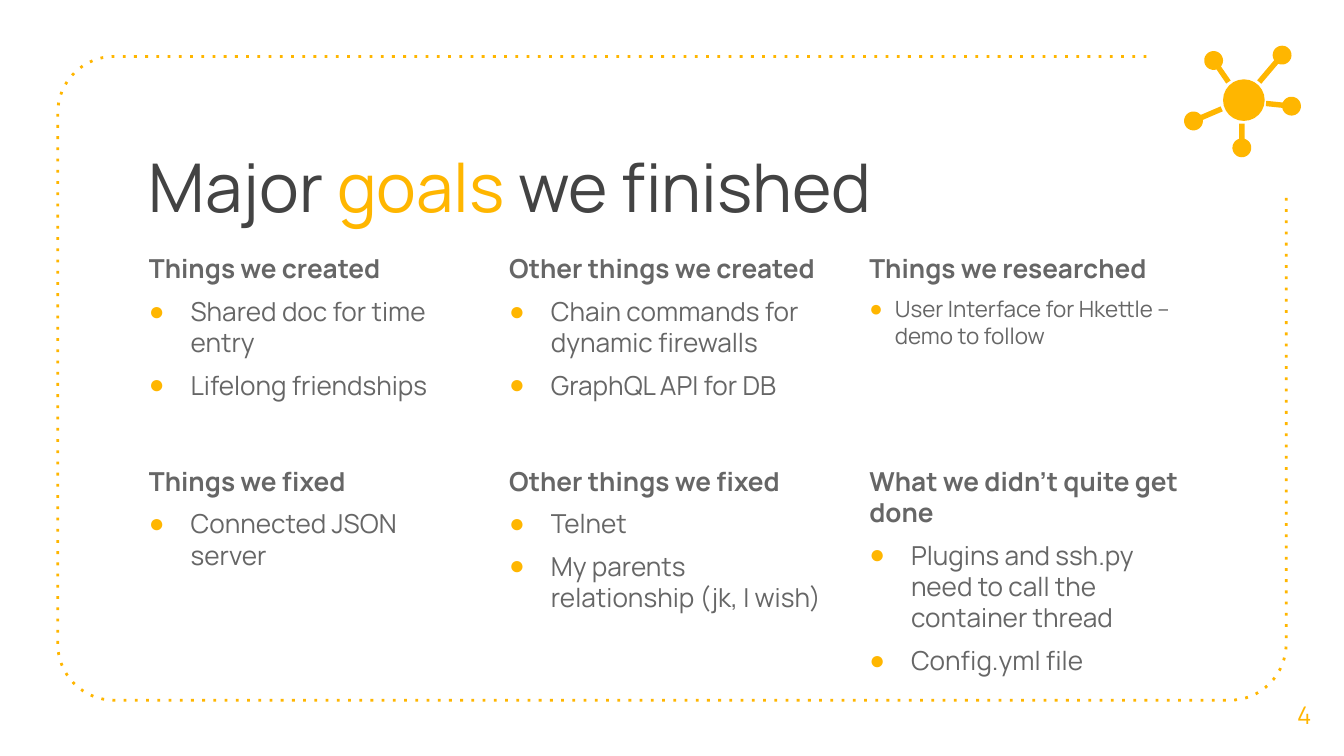
import math
from lxml import etree
from pptx import Presentation
from pptx.dml.color import RGBColor
from pptx.enum import dml, shapes, text
from pptx.oxml import ns
from pptx.util import Inches, Pt

AMBER = RGBColor(0xFF, 0xB6, 0x00)
CHARCOAL = RGBColor(0x43, 0x43, 0x43)
GRAY = RGBColor(0x66, 0x66, 0x66)


def arc(center, radius, start, sweep, steps=16):
    return [
        (center[0] + radius * math.cos(start + sweep * i / steps),
         center[1] + radius * math.sin(start + sweep * i / steps))
        for i in range(steps + 1)
    ]


class GoalSlide:
    """Draws the elements of a goals slide in one shared style."""

    font = "Manrope"
    bullet_font = "Arial"

    def __init__(self, slide):
        self.slide = slide

    def style(self, paragraph, size, color, bold=False):
        font = paragraph.font
        font.name, font.size, font.bold = self.font, Pt(size), bold
        font.color.rgb = color

    def text_box(self, left, top, width, height):
        box = self.slide.shapes.add_textbox(*map(Inches, (left, top, width, height)))
        frame = box.text_frame
        frame.word_wrap = True
        frame.margin_left = frame.margin_right = Inches(0.1)
        frame.margin_top = frame.margin_bottom = Inches(0.1)
        return frame

    def title(self, pieces):
        heading = self.text_box(1.01, 0.98, 8.18, 0.94).paragraphs[0]
        self.style(heading, 36, CHARCOAL)
        for words, color in pieces:
            run = heading.add_run()
            run.text = words
            run.font.color.rgb = color

    def bullet(self, paragraph, indent):
        props = paragraph._p.get_or_add_pPr()
        props.set("marL", str(Inches(indent)))
        props.set("indent", str(-Inches(indent)))
        color = etree.SubElement(props, ns.qn("a:buClr"))
        etree.SubElement(color, ns.qn("a:srgbClr"), val=str(AMBER))
        etree.SubElement(props, ns.qn("a:buFont"), typeface=self.bullet_font)
        etree.SubElement(props, ns.qn("a:buChar"), char="●")

    def goals(self, left, top, heading, items, size=14, indent=0.31):
        frame = self.text_box(left, top, 2.55, 1.62)
        first = frame.paragraphs[0]
        first.text = heading
        first.space_before = Pt(6)
        self.style(first, 14, GRAY, bold=True)
        for item in items:
            goal = frame.add_paragraph()
            goal.text = item
            goal.space_before = Pt(6)
            self.bullet(goal, indent)
            self.style(goal, size, GRAY)

    def page_number(self, number):
        frame = self.text_box(9.41, 5.02, 0.59, 0.6)
        frame.vertical_anchor = text.MSO_ANCHOR.MIDDLE
        page = frame.paragraphs[0]
        page.text = number
        page.alignment = text.PP_ALIGN.CENTER
        self.style(page, 13, AMBER)

    def outline(self, points, close):
        start, *rest = [(Inches(x), Inches(y)) for x, y in points]
        builder = self.slide.shapes.build_freeform(*start)
        builder.add_line_segments(rest, close=close)
        shape = builder.convert_to_shape()
        shape.shadow.inherit = False
        return shape

    def border(self):
        left, top, right, bottom, radius = 0.43, 0.42, 9.57, 5.21, 0.42
        quarter = -math.pi / 2
        upper, lower = top + radius, bottom - radius
        points = [(8.53, top)]
        points += arc((left + radius, upper), radius, quarter, quarter)
        points += arc((left + radius, lower), radius, math.pi, quarter)
        points += arc((right - radius, lower), radius, math.pi / 2, quarter)
        points.append((right, 1.46))
        border = self.outline(points, close=False)
        border.fill.background()
        border.line.color.rgb = AMBER
        border.line.width = Pt(1.5)
        border.line.dash_style = dml.MSO_LINE.ROUND_DOT
        border._element.find(".//" + ns.qn("a:prstDash")).set("val", "dot")

    def spoke(self, node, tip, radius=0.07, half_width=0.02):
        angle = math.atan2(tip[1] - node[1], tip[0] - node[0])
        gap = math.asin(half_width / radius)
        dx, dy = -half_width * math.sin(angle), half_width * math.cos(angle)
        points = arc(node, radius, angle + gap, 2 * (math.pi - gap), 32)
        points += [(tip[0] - dx, tip[1] - dy), (tip[0] + dx, tip[1] + dy)]
        self.paint(self.outline(points, close=True))

    def hub(self, left, top, size):
        self.paint(self.slide.shapes.add_shape(
            shapes.MSO_SHAPE.OVAL, *map(Inches, (left, top, size, size))))

    def paint(self, shape):
        shape.shadow.inherit = False
        shape.fill.solid()
        shape.fill.fore_color.rgb = AMBER
        shape.line.fill.background()


GOALS = [
    [
        ("Things we created", ["Shared doc for time entry", "Lifelong friendships"]),
        ("Other things we created",
         ["Chain commands for dynamic firewalls", "GraphQL API for DB"]),
        ("Things we researched",
         ["User Interface for Hkettle – demo to follow"], 12, 0.19),
    ],
    [
        ("Things we fixed", ["Connected JSON server"]),
        ("Other things we fixed", ["Telnet", "My parents relationship (jk, I wish)"]),
        ("What we didn’t quite get done",
         ["Plugins and ssh.py need to call the container thread", "Config.yml file"]),
    ],
]

SPOKES = [
    ((9.54, 0.41), (9.37, 0.61)),
    ((9.03, 0.45), (9.14, 0.61)),
    ((8.88, 0.9), (9.09, 0.81)),
    ((9.24, 1.1), (9.24, 0.92)),
    ((9.61, 0.79), (9.42, 0.77)),
]


def main():
    deck = Presentation()
    deck.slide_width, deck.slide_height = Inches(10), Inches(10 * 9 / 16)
    page = GoalSlide(deck.slides.add_slide(deck.slide_layouts[6]))
    page.border()
    page.title([("Major ", CHARCOAL), ("goals ", AMBER), ("we finished", CHARCOAL)])
    for row, groups in enumerate(GOALS):
        for column, group in enumerate(groups):
            page.goals(1.01 + 2.68 * column, 1.78 + 1.58 * row, *group)
    page.page_number("4")
    for node, tip in SPOKES:
        page.spoke(node, tip)
    page.hub(9.1, 0.59, 0.31)
    deck.save("out.pptx")


if __name__ == "__main__":
    main()
